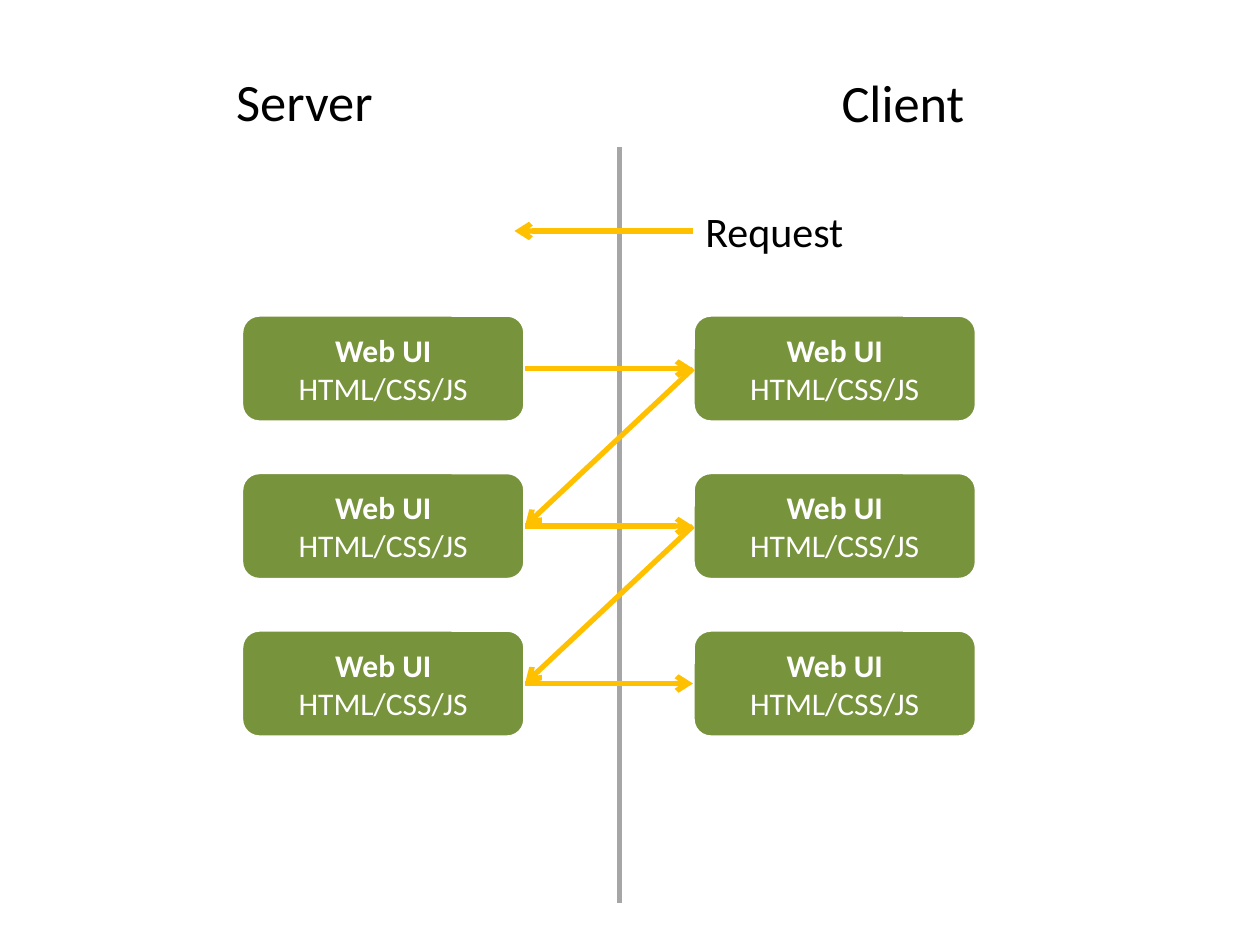
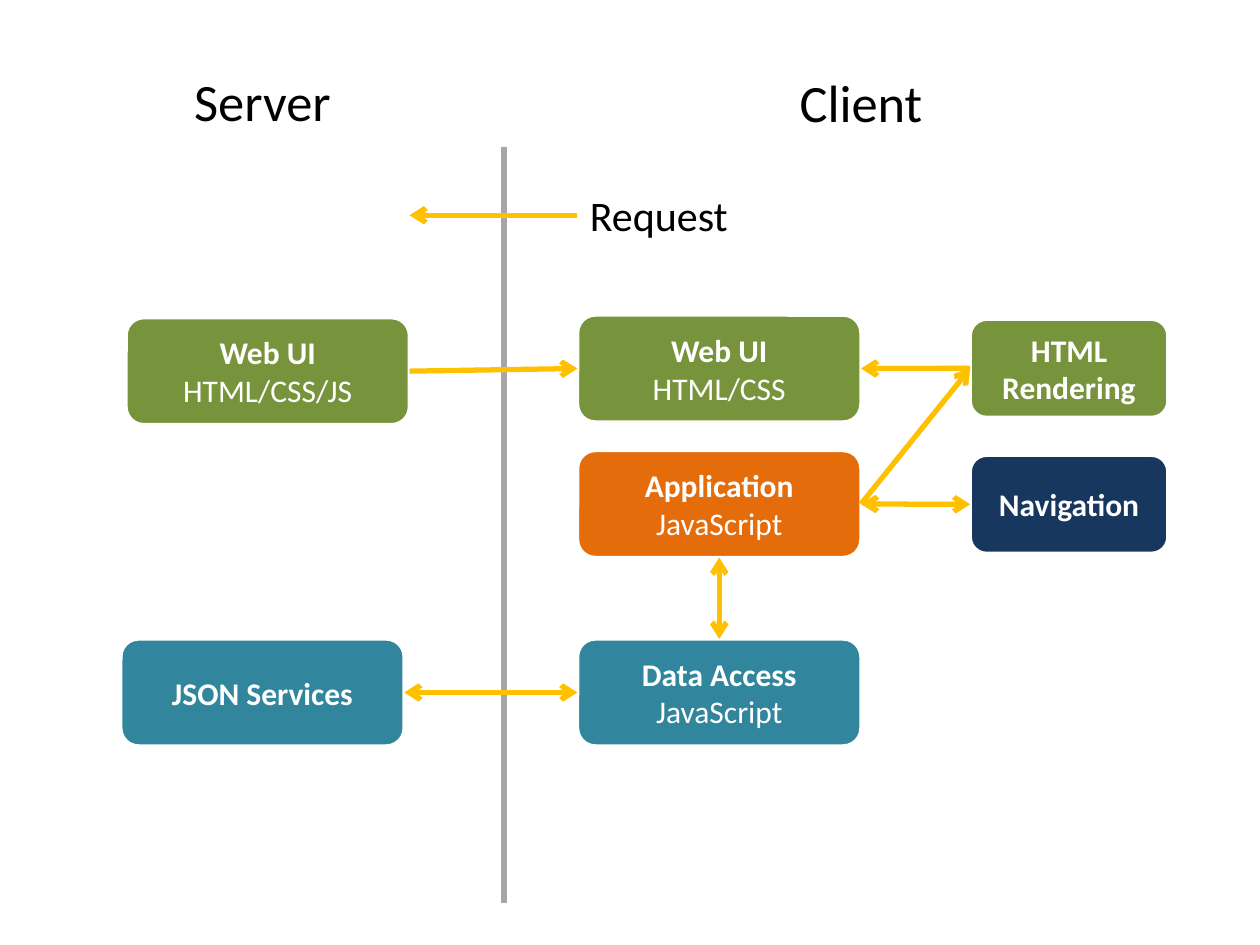
"""Build two slides that compare server-rendered pages with a client-side application."""
from dataclasses import dataclass

from lxml import etree
from pptx import Presentation
from pptx import util as u
from pptx.dml import color
from pptx.enum import shapes, text
from pptx.oxml import ns

SLIDE_WIDTH, SLIDE_HEIGHT = u.Inches(10), u.Inches(7.5)
COLUMNS, ROWS = 120, 90
FONT = "Calibri"
WHITE, BLACK, GREY, GOLD = "FFFFFF", "000000", "A6A6A6", "FFC000"
GREEN, ORANGE, NAVY, TEAL = "77933C", "E46C0A", "17375E", "31859C"
TOP, LEFT, BOTTOM, RIGHT = range(4)
BOX_WIDTH, BOX_HEIGHT = 27, 10.2
SIDE_WIDTH, SIDE_HEIGHT = 18.84, 9.36


@dataclass(frozen=True)
class Component:
    """A rounded box placed on the grid, with a bold name and an optional technology."""
    column: float
    row: float
    fill: str
    name: str
    technology: str = ""
    width: float = BOX_WIDTH
    height: float = BOX_HEIGHT


@dataclass(frozen=True)
class Flow:
    """An arrow from one side of a component to a side of another."""
    source: str
    source_side: int
    target: str
    target_side: int
    two_way: bool = False


@dataclass(frozen=True)
class Architecture:
    """The contents of one slide, with its headings and request arrow."""
    divider_column: float
    server_column: float
    client_column: float
    request_column: float
    request_row: float
    request_end_column: float
    components: dict[str, Component]
    flows: list[Flow]


def x(column: float) -> u.Length:
    """Return the horizontal length of a number of grid columns."""
    return u.Emu(round(SLIDE_WIDTH * column / COLUMNS))


def y(row: float) -> u.Length:
    """Return the vertical length of a number of grid rows."""
    return u.Emu(round(SLIDE_HEIGHT * row / ROWS))


def paint(target, hex_colour: str) -> None:
    """Give a fill, line fill or font a solid colour."""
    if hasattr(target, "solid"):
        target.solid()
        target = target.fore_color
    else:
        target = target.color
    target.rgb = color.RGBColor.from_string(hex_colour)


def style(paragraph, size: float, hex_colour: str, bold: bool, centred: bool) -> None:
    """Format the runs and alignment of a paragraph."""
    paragraph.alignment = text.PP_ALIGN.CENTER if centred else text.PP_ALIGN.LEFT
    for run in paragraph.runs:
        run.font.name, run.font.size, run.font.bold = FONT, u.Pt(size), bold
        paint(run.font, hex_colour)


def add_label(slide, wording: str, column: float, row: float, width: float,
              height: float, size: float, centred: bool = True):
    """Add a plain text label."""
    label = slide.shapes.add_textbox(x(column), y(row), x(width), y(height))
    frame = label.text_frame
    frame.word_wrap = True
    frame.auto_size = text.MSO_AUTO_SIZE.SHAPE_TO_FIT_TEXT
    frame.text = wording
    style(frame.paragraphs[0], size, BLACK, False, centred)
    return label


def add_component(slide, component: Component):
    """Draw a component box with its name above its technology."""
    box = slide.shapes.add_shape(
        shapes.MSO_SHAPE.ROUNDED_RECTANGLE, x(component.column), y(component.row),
        x(component.width), y(component.height))
    box.shadow.inherit = False
    paint(box.fill, component.fill)
    paint(box.line.fill, WHITE)
    box.line.width = u.Pt(2)
    wording = [part for part in (component.name, component.technology) if part]
    box.text_frame.text = "\n".join(wording)
    for index, paragraph in enumerate(box.text_frame.paragraphs):
        style(paragraph, 18, WHITE, index == 0, True)
    return box


def add_line(slide, start: tuple[float, float], end: tuple[float, float],
             hex_colour: str, arrow_ends: tuple[str, ...] = ()):
    """Draw a straight line between grid points, with open arrowheads at the named ends."""
    line = slide.shapes.add_connector(
        shapes.MSO_CONNECTOR.STRAIGHT, x(start[0]), y(start[1]), x(end[0]), y(end[1]))
    paint(line.line.fill, hex_colour)
    line.line.width = u.Pt(3)
    properties = line._element.spPr
    for end_name in arrow_ends:
        etree.SubElement(properties.find(ns.qn("a:ln")), ns.qn(f"a:{end_name}"), type="arrow")
    etree.SubElement(properties, ns.qn("a:effectLst"))
    return line


def side_point(component: Component, side: int) -> tuple[float, float]:
    """Return the grid point at the middle of a component's side."""
    across = {LEFT: 0, RIGHT: 1}.get(side, 0.5)
    down = {TOP: 0, BOTTOM: 1}.get(side, 0.5)
    return component.column + across * component.width, component.row + down * component.height


def add_architecture(presentation, architecture: Architecture) -> None:
    """Add a slide with the divider, headings, request, components and flows."""
    slide = presentation.slides.add_slide(presentation.slide_layouts[6])
    divider = architecture.divider_column
    add_line(slide, (divider, 14), (divider, 86), GREY)
    add_label(slide, "Server", architecture.server_column, 6, 36, 7.3, 30)
    add_label(slide, "Client", architecture.client_column, 6.12, 36, 7.3, 30)

    request = add_label(slide, "Request", architecture.request_column,
                        architecture.request_row, 28, 6, 24, centred=False)
    request_middle = architecture.request_row + 3
    request_arrow = add_line(slide, (architecture.request_column, request_middle),
                             (architecture.request_end_column, request_middle),
                             GOLD, ("tailEnd",))
    request_arrow.begin_connect(request, LEFT)

    components = architecture.components
    boxes = {key: add_component(slide, component) for key, component in components.items()}
    for flow in architecture.flows:
        arrow = add_line(slide, side_point(components[flow.source], flow.source_side),
                         side_point(components[flow.target], flow.target_side), GOLD,
                         ("headEnd", "tailEnd") if flow.two_way else ("tailEnd",))
        arrow.begin_connect(boxes[flow.source], flow.source_side)
        arrow.end_connect(boxes[flow.target], flow.target_side)


def page_round_trips() -> Architecture:
    """Describe full pages sent from the server on every request."""
    trips = range(3)
    pages = {f"{place} {trip}": Component(column, 30 + 15 * trip, GREEN, "Web UI", "HTML/CSS/JS")
             for trip in trips for place, column in (("server", 23), ("client", 66))}
    responses = [Flow(f"server {trip}", RIGHT, f"client {trip}", LEFT) for trip in trips]
    requests = [Flow(f"client {trip}", LEFT, f"server {trip + 1}", RIGHT) for trip in trips[:-1]]
    return Architecture(59, 11, 68, 66, 19, 49, pages, responses + requests)


def client_application() -> Architecture:
    """Describe an application that runs on the client and fetches data."""
    components = {
        "services": Component(11.5, 60.85, TEAL, "JSON Services"),
        "server ui": Component(12, 30.25, GREEN, "Web UI", "HTML/CSS/JS"),
        "client ui": Component(55, 30, GREEN, "Web UI", "HTML/CSS"),
        "application": Component(55, 42.9, ORANGE, "Application", "JavaScript"),
        "navigation": Component(92.4, 43.35, NAVY, "Navigation",
                                width=SIDE_WIDTH, height=SIDE_HEIGHT),
        "rendering": Component(92.4, 30.4, GREEN, "HTML Rendering",
                               width=SIDE_WIDTH, height=SIDE_HEIGHT),
        "data": Component(55, 60.85, TEAL, "Data Access", "JavaScript"),
    }
    flows = [
        Flow("server ui", RIGHT, "client ui", LEFT),
        Flow("application", RIGHT, "rendering", LEFT),
        Flow("rendering", LEFT, "client ui", RIGHT),
        Flow("application", RIGHT, "navigation", LEFT, two_way=True),
        Flow("services", RIGHT, "data", LEFT, two_way=True),
        Flow("application", BOTTOM, "data", TOP, two_way=True),
    ]
    return Architecture(48, 7, 64, 55, 17.5, 39, components, flows)


def main() -> None:
    """Build and save the presentation."""
    presentation = Presentation()
    presentation.slide_width, presentation.slide_height = SLIDE_WIDTH, SLIDE_HEIGHT
    for architecture in (page_round_trips(), client_application()):
        add_architecture(presentation, architecture)
    presentation.save("out.pptx")


if __name__ == "__main__":
    main()
